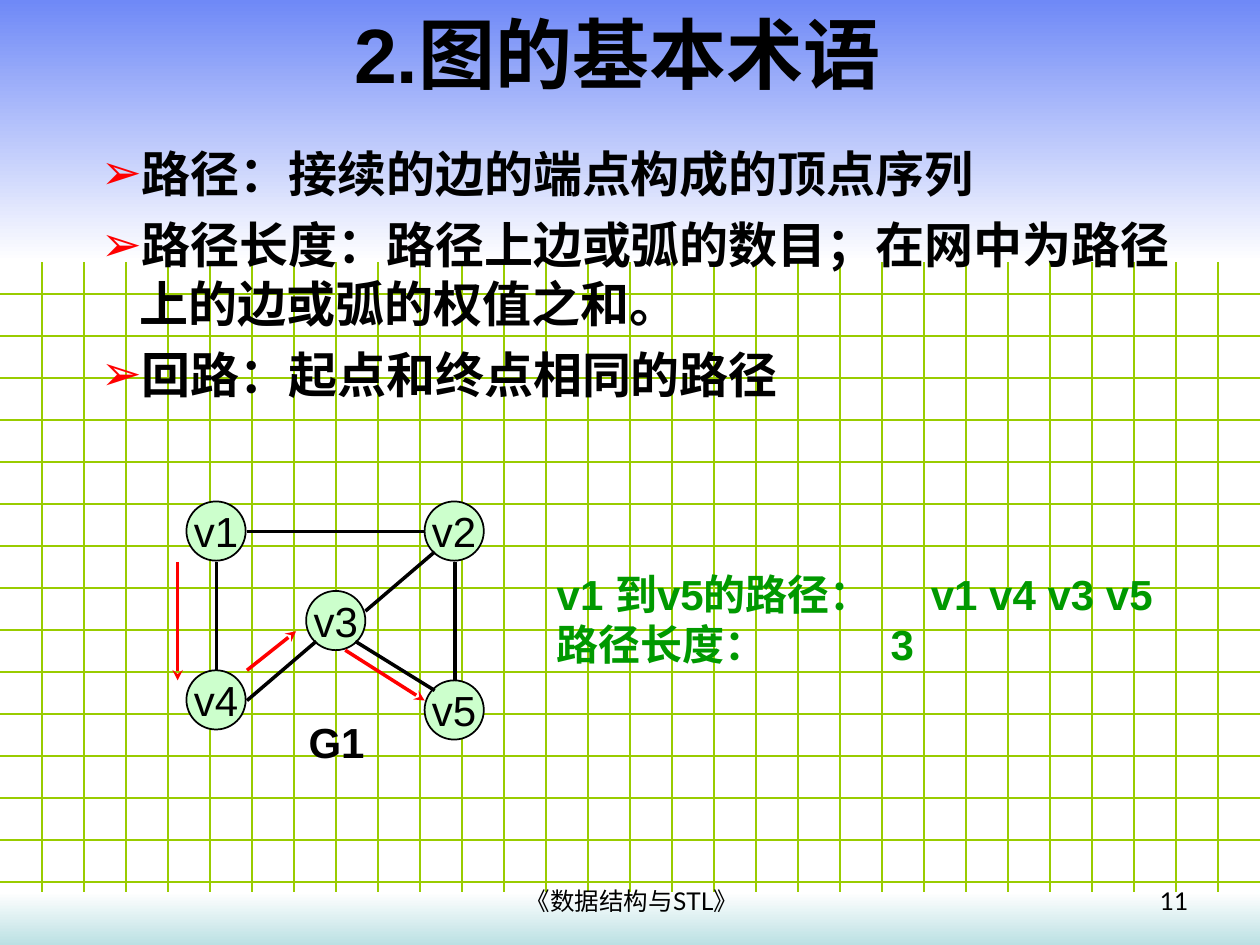
from dataclasses import dataclass
from typing import Optional

from lxml.etree import SubElement
from pptx import Presentation
from pptx.dml.color import RGBColor
from pptx.enum.shapes import MSO_CONNECTOR as Connector, MSO_SHAPE as Preset
from pptx.enum.text import MSO_ANCHOR as Anchor, MSO_AUTO_SIZE as AutoSize, PP_ALIGN as Align
from pptx.oxml.ns import qn
from pptx.util import Inches, Pt


@dataclass(frozen=True)
class Theme:
    text: str = "000000"
    grid: str = "99CC00"
    sky: str = "6F89F7"
    paper: str = "FFFFFF"
    sea: str = "BBE0E3"
    vertex: str = "CCFFCC"
    route: str = "FF0000"
    answer: str = "009900"
    font: str = "Arial"
    footer_font: str = "Lato"
    title_size: int = 44
    body_size: int = 28
    graph_size: int = 24
    footer_size: int = 14


@dataclass(frozen=True)
class Box:
    left: float
    top: float
    width: float
    height: float

    def lengths(self) -> tuple:
        return tuple(Inches(v) for v in (self.left, self.top, self.width, self.height))


@dataclass(frozen=True)
class Line:
    x1: float
    y1: float
    x2: float
    y2: float


@dataclass(frozen=True)
class Vertex:
    name: str
    left: float
    top: float


@dataclass(frozen=True)
class Label:
    """A text; tab_stop places what follows its tab."""
    text: str
    tab_stop: Optional[float] = None


THEME = Theme()
WIDTH, HEIGHT = 10, 7.5
GRID_STEP = 1 / 3
SKY = Box(0, 0, WIDTH, 2.08)
SEA = Box(0, 7.08, WIDTH, 0.42)
VERTEX_SIZE = 0.47

VERTICES = [
    Vertex("v1", 1.48, 3.98),
    Vertex("v4", 1.48, 5.32),
    Vertex("v3", 2.43, 4.69),
    Vertex("v2", 3.37, 3.98),
    Vertex("v5", 3.37, 5.4),
]
EDGES = [
    Line(1.72, 4.46, 1.72, 5.32),
    Line(1.96, 4.22, 3.37, 4.22),
    Line(3.61, 4.46, 3.61, 5.4),
    Line(1.96, 5.56, 2.51, 5.09),
    Line(3.45, 4.38, 2.9, 4.85),
    Line(2.82, 5.09, 3.45, 5.48),
]
ROUTE = [
    Line(1.41, 4.46, 1.41, 5.4),
    Line(1.96, 5.32, 2.35, 5.01),
    Line(2.74, 5.16, 3.37, 5.56),
]
TERMS = [
    "路径：接续的边的端点构成的顶点序列",
    "路径长度：路径上边或弧的数目；在网中为路径上的边或弧的权值之和。",
    "回路：起点和终点相同的路径",
]
ANSWERS = [
    Label("v1 到v5的路径：\tv1 v4 v3 v5", 2.97),
    Label("路径长度：\t3", 2.65),
]


def rgb(color: str) -> RGBColor:
    return RGBColor.from_string(color)


def format_runs(paragraph, size: int, color: str = THEME.text, bold: bool = False,
                font: str = THEME.font) -> None:
    for run in paragraph.runs:
        run.font.name = font
        run.font.size = Pt(size)
        run.font.bold = bold
        run.font.color.rgb = rgb(color)


def draw_line(shapes, line: Line, color: str, width: float, arrow: bool = False) -> None:
    ends = (Inches(v) for v in (line.x1, line.y1, line.x2, line.y2))
    connector = shapes.add_connector(Connector.STRAIGHT, *ends)
    connector.line.color.rgb = rgb(color)
    connector.line.width = Pt(width)
    properties = connector.element.spPr
    if arrow:
        SubElement(properties.find(qn("a:ln")), qn("a:tailEnd"), type="stealth")
    SubElement(properties, qn("a:effectLst"))


def draw_grid(shapes) -> None:
    """Rows lie only between the two bands; columns run behind them."""
    for row in range(7, 22):
        y = row * GRID_STEP
        draw_line(shapes, Line(0, y, WIDTH, y), THEME.grid, 0.75)
    for column in range(1, 30):
        x = column * GRID_STEP
        draw_line(shapes, Line(x, 0, x, HEIGHT), THEME.grid, 0.75)


def draw_band(shapes, box: Box, top_color: str, bottom_color: str) -> None:
    band = shapes.add_shape(Preset.RECTANGLE, *box.lengths())
    band.shadow.inherit = False
    band.line.fill.background()
    band.fill.gradient()
    band.fill.gradient_angle = 270
    for stop, position, color in zip(band.fill.gradient_stops, (0, 1), (top_color, bottom_color)):
        stop.position = position
        stop.color.rgb = rgb(color)


def draw_vertex(shapes, vertex: Vertex) -> None:
    box = Box(vertex.left, vertex.top, VERTEX_SIZE, VERTEX_SIZE)
    circle = shapes.add_shape(Preset.OVAL, *box.lengths())
    circle.shadow.inherit = False
    circle.fill.solid()
    circle.fill.fore_color.rgb = rgb(THEME.vertex)
    circle.line.color.rgb = rgb(THEME.text)
    circle.line.width = Pt(1)
    frame = circle.text_frame
    frame.text = vertex.name
    frame.word_wrap = False
    frame.vertical_anchor = Anchor.MIDDLE
    frame.paragraphs[0].alignment = Align.CENTER
    format_runs(frame.paragraphs[0], THEME.graph_size)


def draw_text(shapes, box: Box, labels: list[Label], size: int, align=Align.LEFT, **style) -> None:
    frame = shapes.add_textbox(*box.lengths()).text_frame
    frame.word_wrap = True
    frame.text = "\n".join(label.text for label in labels)
    for paragraph, label in zip(frame.paragraphs, labels):
        paragraph.alignment = align
        if label.tab_stop:
            stops = SubElement(paragraph._p.get_or_add_pPr(), qn("a:tabLst"))
            SubElement(stops, qn("a:tab"), pos=str(Inches(label.tab_stop)), algn="l")
        format_runs(paragraph, size, **style)


def place(placeholder, box: Box) -> None:
    """Move a placeholder to its box, in front of all drawn so far."""
    placeholder.left, placeholder.top, placeholder.width, placeholder.height = box.lengths()
    placeholder.element.getparent().append(placeholder.element)
    placeholder.text_frame.auto_size = AutoSize.NONE


def fill_title(title) -> None:
    place(title, Box(0, 0, 9.8, 0.84))
    title.text_frame.text = "2.图的基本术语"
    title.text_frame.vertical_anchor = Anchor.MIDDLE
    paragraph = title.text_frame.paragraphs[0]
    paragraph.alignment = Align.CENTER
    format_runs(paragraph, THEME.title_size, bold=True)


def fill_terms(body) -> None:
    place(body, Box(0.2, 1.09, 9.53, 2.81))
    body.text_frame.text = "\n".join(TERMS)
    for index, paragraph in enumerate(body.text_frame.paragraphs):
        paragraph.level = 1
        properties = paragraph._p.get_or_add_pPr()
        properties.set("marL", str(Inches(0.81)))
        properties.set("indent", str(Inches(-0.31)))
        SubElement(SubElement(properties, qn("a:buClr")), qn("a:srgbClr"), val=THEME.route)
        SubElement(properties, qn("a:buFont"), typeface=THEME.font)
        SubElement(properties, qn("a:buChar"), char="➢")
        paragraph.space_before = Pt(7 if index else 0)
        format_runs(paragraph, THEME.body_size, bold=True)


def main() -> None:
    presentation = Presentation()
    presentation.slide_width, presentation.slide_height = Inches(WIDTH), Inches(HEIGHT)
    slide = presentation.slides.add_slide(presentation.slide_layouts[1])
    shapes = slide.shapes

    draw_grid(shapes.add_group_shape().shapes)
    draw_band(shapes, SKY, THEME.sky, THEME.paper)
    draw_band(shapes, SEA, THEME.paper, THEME.sea)
    fill_title(shapes.title)
    fill_terms(slide.placeholders[1])

    footer = {"size": THEME.footer_size, "font": THEME.footer_font}
    draw_text(shapes, Box(7.2, 6.98, 2.33, 0.36), [Label("11")], align=Align.RIGHT, **footer)
    draw_text(shapes, Box(3.43, 6.98, 3.17, 0.36), [Label("《数据结构与STL》")],
              align=Align.CENTER, **footer)

    graph = shapes.add_group_shape().shapes
    for vertex in VERTICES:
        draw_vertex(graph, vertex)
    for edge in EDGES:
        draw_line(graph, edge, THEME.text, 2)
    draw_text(graph, Box(2.35, 5.64, 0.71, 0.5), [Label("G1")], THEME.graph_size, bold=True)

    draw_text(shapes, Box(4.32, 4.46, 4.96, 0.9), ANSWERS, THEME.graph_size,
              color=THEME.answer, bold=True)
    for step in ROUTE:
        draw_line(shapes, step, THEME.route, 2, arrow=True)
    presentation.save("out.pptx")


if __name__ == "__main__":
    main()
